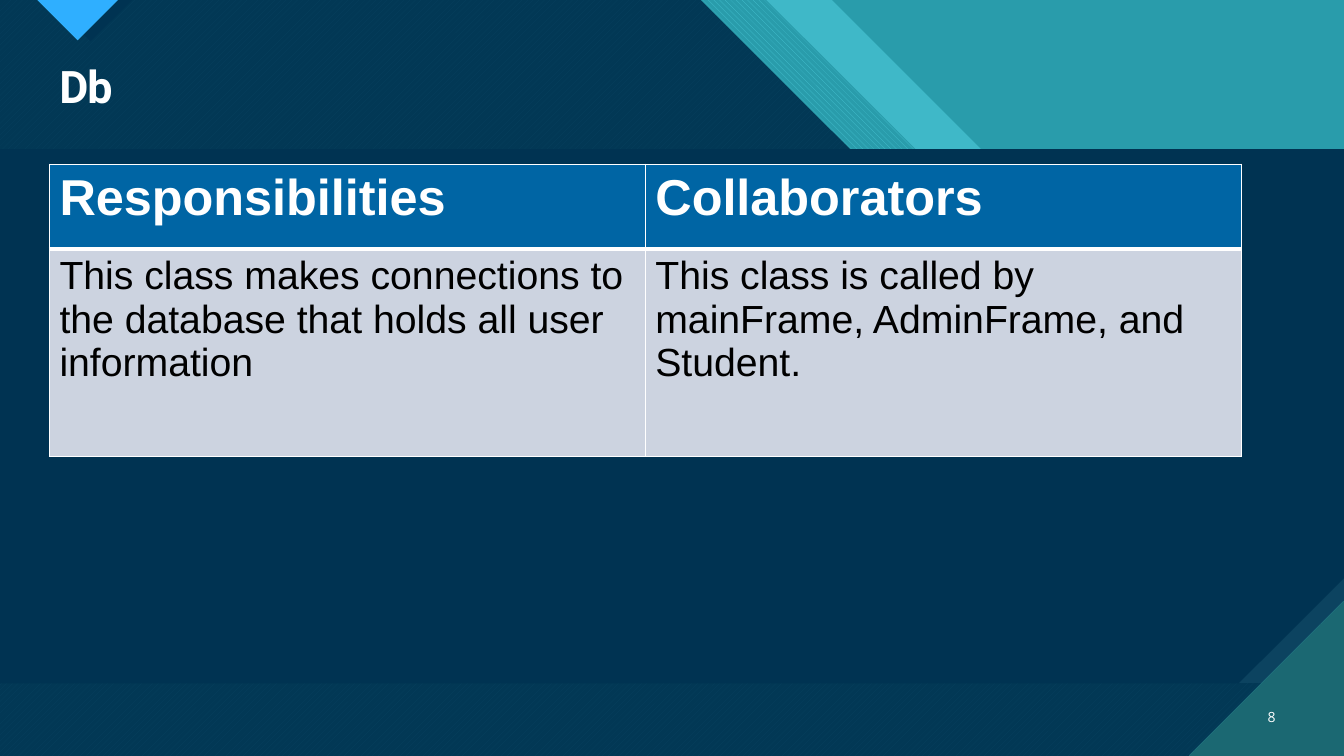
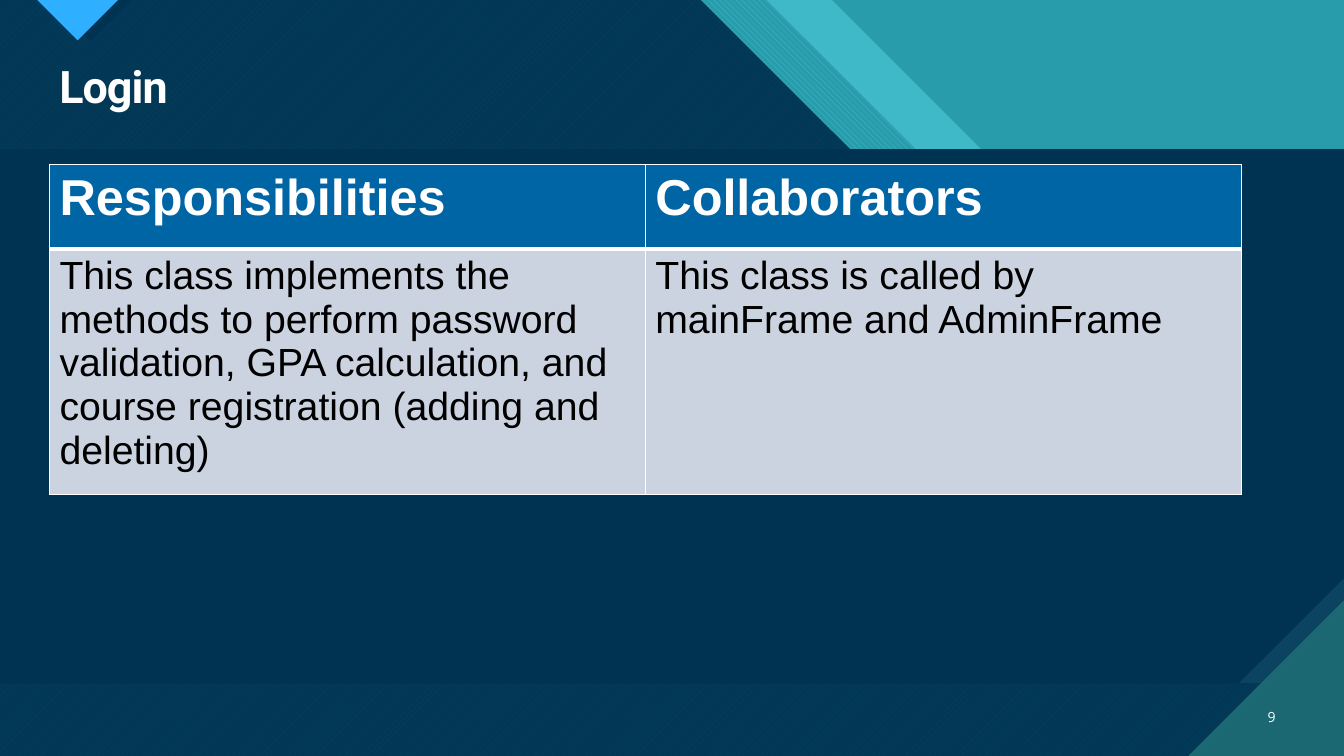
from dataclasses import dataclass

from lxml import etree
from pptx import Presentation
from pptx.dml.color import RGBColor
from pptx.enum.dml import MSO_PATTERN as Pattern
from pptx.enum.shapes import MSO_SHAPE as Preset
from pptx.enum.text import MSO_ANCHOR as Anchor, PP_ALIGN as Align
from pptx.oxml.ns import qn
from pptx.util import Inches, Pt


@dataclass(frozen=True)
class Theme:
    navy: str = "003352"
    navy_light: str = "0C4360"
    teal: str = "299CAB"
    teal_dark: str = "1B6872"
    cyan: str = "47C3D3"
    sky: str = "2FAFFF"
    header: str = "0065A4"
    cell: str = "CCD3E0"
    white: str = "FFFFFF"
    black: str = "000000"
    title_font: str = "Roboto"
    number_font: str = "Open Sans"
    table_font: str = "Arial"
    title_size: int = 32
    number_size: int = 10
    header_size: int = 36
    body_size: int = 28


theme = Theme()
WIDTH, HEIGHT = 13.33, 7.5


def paint(shape, color, back=None, pattern=None, opacity=100):
    """Fill a shape plain or patterned, without line or shadow."""
    shape.shadow.inherit = False
    shape.line.fill.background()
    if pattern:
        shape.fill.patterned()
        shape.fill.pattern = pattern
        shape.fill.back_color.rgb = RGBColor.from_string(back)
    else:
        shape.fill.solid()
    fore = shape.fill.fore_color
    fore.rgb = RGBColor.from_string(color)
    if opacity < 100:
        tint = next(shape.element.iter(qn("a:srgbClr")))
        etree.SubElement(tint, qn("a:alpha")).set("val", str(opacity * 1000))


def style(paragraph, font_name, size, color, bold=False):
    """Format every run of a paragraph."""
    for run in paragraph.runs:
        run.font.name = font_name
        run.font.size = Pt(size)
        run.font.bold = bold
        run.font.color.rgb = RGBColor.from_string(color)


class_cards = [
    (8, "Db",
     "This class makes connections to the database that holds all user information",
     "This class is called by mainFrame, AdminFrame, and Student."),
    (9, "Login",
     "This class implements the methods to perform password validation, "
     "GPA calculation, and course registration (adding and deleting)",
     "This class is called by mainFrame and AdminFrame"),
]

deck = Presentation()
deck.slide_width, deck.slide_height = Inches(WIDTH), Inches(HEIGHT)
layout = deck.slide_layouts[6]
for placeholder in list(layout.placeholders):
    placeholder.element.getparent().remove(placeholder.element)
layout.background.fill.solid()
layout.background.fill.fore_color.rgb = RGBColor.from_string(theme.cyan)
slides = [deck.slides.add_slide(layout) for _ in class_cards]

# Shared backdrop: drawn once, then moved to the layout
canvas = slides[0].shapes
paint(canvas.add_shape(Preset.RECTANGLE, 0, 0, Inches(WIDTH), Inches(HEIGHT)), theme.teal)

# Sheets with a 45-degree edge: left, top end of the edge, knee, fill
SLANT = 2.97
sheets = [
    (0, 8.25, 12.34, dict(color=theme.cyan, opacity=74)),
    (0.66, 7.6, 11.84, dict(color=theme.cyan, back=theme.teal,
                            pattern=Pattern.WIDE_DOWNWARD_DIAGONAL)),
    (0, 6.95, 11.18, dict(color=theme.cyan, back=theme.teal_dark,
                          pattern=Pattern.WIDE_UPWARD_DIAGONAL)),
    (0, 6.95, 11.18, dict(color=theme.navy, opacity=90)),
]
outlines = [
    ([(left, 0), (top, 0), (top + SLANT, SLANT), (knee, SLANT),
      (WIDTH, SLANT + WIDTH - knee), (WIDTH, HEIGHT), (left, HEIGHT)], fill)
    for left, top, knee, fill in sheets
]

# Pointer at the top edge with its shade
outlines += [
    ([(0.48, 0), (1.31, 0), (0.9, 0.41)], dict(color=theme.navy)),
    ([(0.37, 0), (1.17, 0), (0.77, 0.4)],
     dict(color=theme.sky, back=theme.teal_dark, pattern=Pattern.DARK_HORIZONTAL)),
]
corner = ([(11.79, HEIGHT), (WIDTH, HEIGHT), (WIDTH, 5.96)],
          dict(color=theme.teal_dark, back=theme.cyan, pattern=Pattern.DARK_HORIZONTAL))
panels = [
    (0, dict(color=theme.navy_light, back=theme.teal_dark, pattern=Pattern.DARK_VERTICAL)),
    (0.197, dict(color=theme.navy)),
]

for points, fill in outlines:
    start, *others = [(Inches(x), Inches(y)) for x, y in points]
    outline = canvas.build_freeform(*start)
    outline.add_line_segments(others)
    paint(outline.convert_to_shape(), **fill)

# Content panel, snipped at the lower right
for snip, fill in panels:
    panel = canvas.add_shape(Preset.SNIP_1_RECTANGLE, 0, Inches(1.48),
                             Inches(WIDTH), Inches(5.3))
    panel.adjustments[0] = snip
    panel.element.spPr.find(qn("a:xfrm")).set("flipV", "1")
    paint(panel, **fill)

# Corner triangle behind the slide number
start, *others = [(Inches(x), Inches(y)) for x, y in corner[0]]
outline = canvas.build_freeform(*start)
outline.add_line_segments(others)
paint(outline.convert_to_shape(), **corner[1])

for part in list(canvas):
    layout.shapes.element.append(part.element)

# Slide content
for slide, (number, name, duties, partners) in zip(slides, class_cards):
    # Slide number
    folio = slide.shapes.add_textbox(Inches(12.31), Inches(6.91), Inches(0.44), Inches(0.4))
    folio.text_frame.word_wrap = True
    folio.text_frame.vertical_anchor = Anchor.MIDDLE
    folio.text_frame.text = str(number)
    folio_line = folio.text_frame.paragraphs[0]
    folio_line.alignment = Align.RIGHT
    style(folio_line, theme.number_font, theme.number_size, theme.white)

    # Title
    title = slide.shapes.add_textbox(Inches(0.49), Inches(0.59), Inches(12.26), Inches(0.59))
    title.text_frame.word_wrap = True
    title.text_frame.text = name
    title_line = title.text_frame.paragraphs[0]
    title_line.line_spacing = 0.9
    style(title_line, theme.title_font, theme.title_size, theme.white, bold=True)
    title_line.runs[0].font._element.set("spc", "-70")

    # Responsibilities and collaborators
    card = slide.shapes.add_table(2, 2, Inches(0.49), Inches(1.63),
                                  Inches(11.82), Inches(2.9)).table
    rows = [
        (0.84, ("Responsibilities", "Collaborators"), theme.header,
         theme.header_size, theme.white, True),
        (2.06, (duties, partners), theme.cell, theme.body_size, theme.black, False),
    ]
    for r, (height, texts, back, size, color, is_header) in enumerate(rows):
        card.rows[r].height = Inches(height)
        for c, text in enumerate(texts):
            cell = card.cell(r, c)
            cell.text = text
            style(cell.text_frame.paragraphs[0], theme.table_font, size, color, is_header)
            cell.fill.solid()
            cell.fill.fore_color.rgb = RGBColor.from_string(back)
            # White borders, heavier between header and body
            heavy = "lnB" if is_header else "lnT"
            for place, side in enumerate(("lnL", "lnR", "lnT", "lnB")):
                border = etree.Element(qn(f"a:{side}"), w=str(Pt(3 if side == heavy else 1)))
                ink = etree.SubElement(border, qn("a:solidFill"))
                etree.SubElement(ink, qn("a:srgbClr"), val=theme.white)
                cell._tc.get_or_add_tcPr().insert(place, border)

deck.save("out.pptx")
